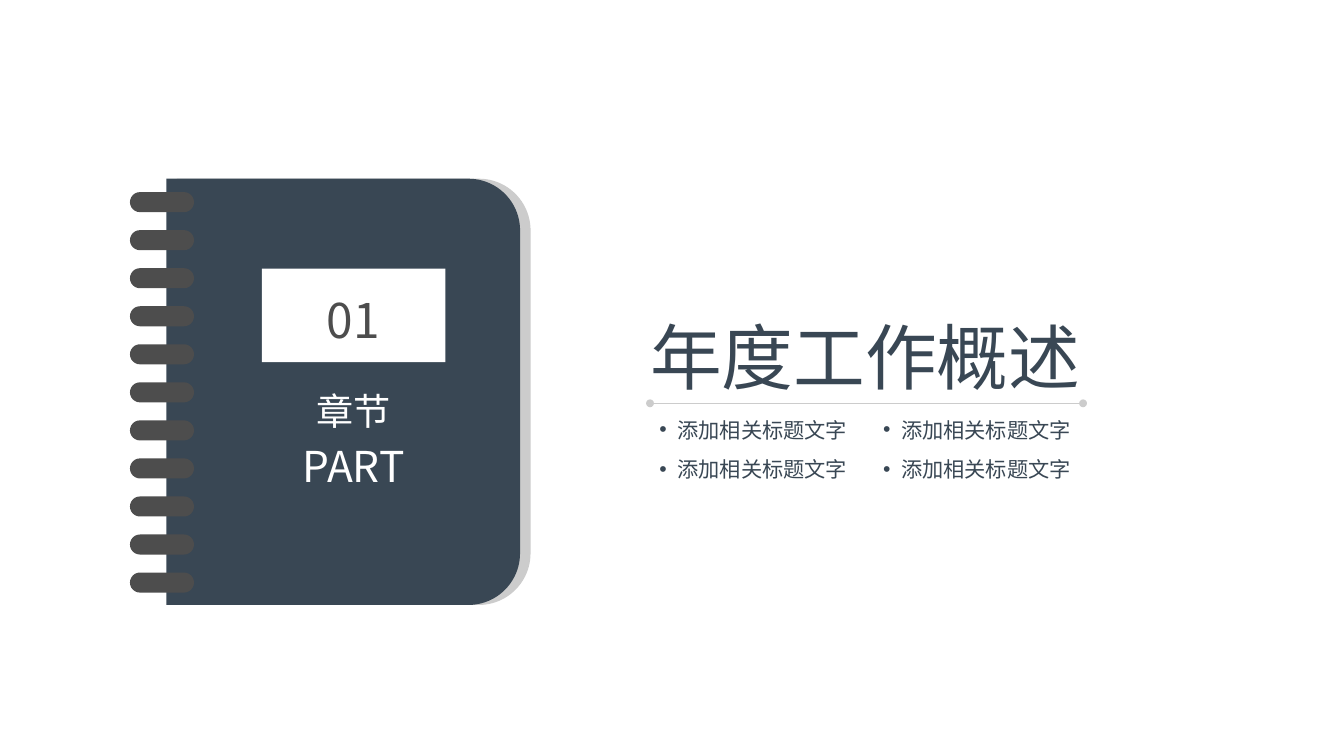
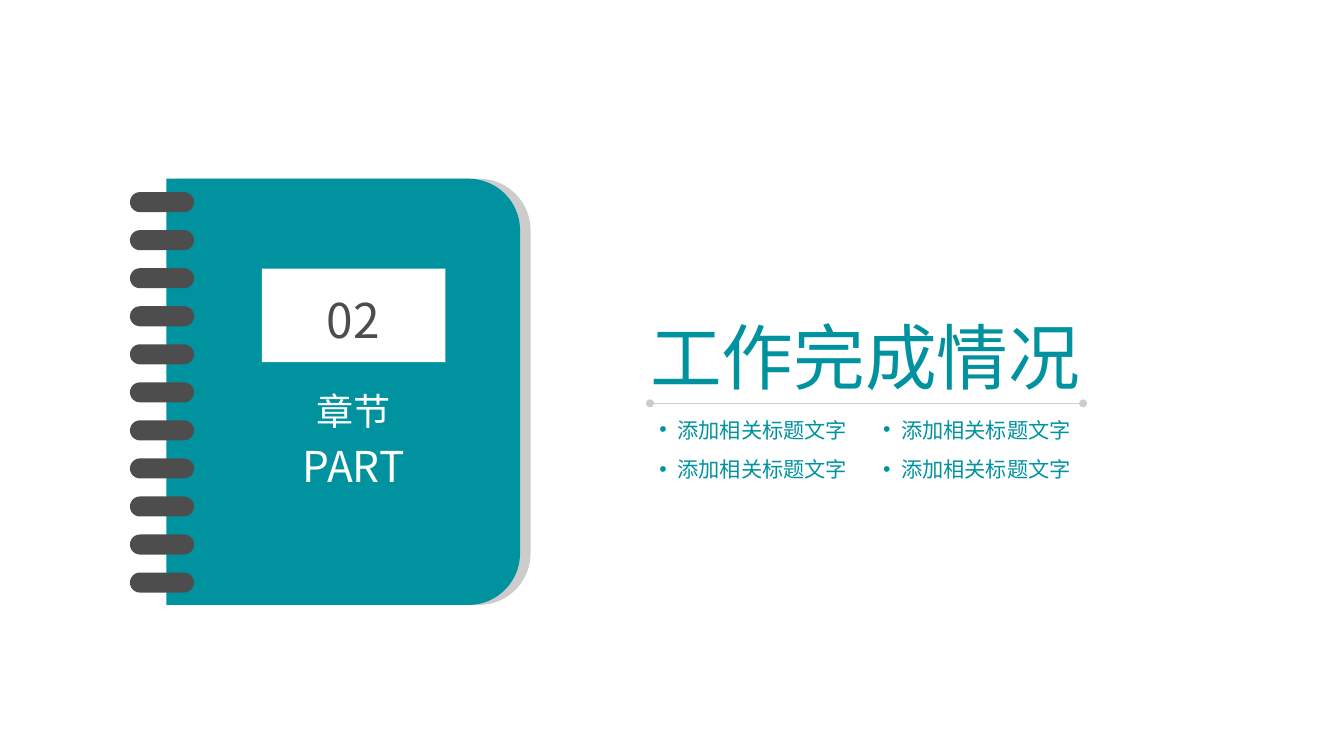
from dataclasses import dataclass

from lxml import etree
from pptx import Presentation
from pptx.dml.color import RGBColor
from pptx.enum.shapes import MSO_CONNECTOR, MSO_SHAPE
from pptx.enum.text import MSO_ANCHOR, MSO_AUTO_SIZE, PP_ALIGN
from pptx.oxml.ns import qn
from pptx.util import Pt

LINE = MSO_CONNECTOR.STRAIGHT
RECT = MSO_SHAPE.RECTANGLE
PILL = MSO_SHAPE.ROUNDED_RECTANGLE
COVER = MSO_SHAPE.ROUND_2_SAME_RECTANGLE
MIDDLE = MSO_ANCHOR.MIDDLE
GROW = MSO_AUTO_SIZE.SHAPE_TO_FIT_TEXT
LEFT, CENTER = PP_ALIGN.LEFT, PP_ALIGN.CENTER
SCALE = 9144
TITLE_ONLY = 5


@dataclass(frozen=True)
class Theme:
    font: str = "Noto Sans CJK SC"
    white: str = "FFFFFF"
    dark: str = "4D4D4D"
    pale: str = "CCCCCC"
    navy: str = "394754"
    teal: str = "00939F"
    title: int = 54
    number: int = 36
    latin: int = 32
    label: int = 28
    item: int = 16


THEME = Theme()
FLUSH = dict(margin_left=0, margin_right=0, margin_top=0, margin_bottom=0,
             word_wrap=True, vertical_anchor=MIDDLE, auto_size=GROW)
LOOSE = dict(word_wrap=False, vertical_anchor=MIDDLE, auto_size=GROW)

TOPICS = [
    ("01", "年度工作概述", THEME.navy),
    ("02", "工作完成情况", THEME.teal),
]
ITEMS = ["添加相关标题文字"] * 4


def px(*vals):
    return [round(val * SCALE) for val in vals]


def apply(item, fmt):
    for name, val in fmt.items():
        setattr(item, name, val)


def write(para, text, size, color, **fmt):
    apply(para, fmt)
    run = para.add_run()
    run.text = text
    apply(run.font, dict(size=Pt(size), name=THEME.font))
    run.font.color.rgb = RGBColor.from_string(color)
    face = etree.SubElement(run.font._element, qn("a:ea"))
    face.set("typeface", THEME.font)


def add_text(shapes, box, fmt):
    frame = shapes.add_textbox(*px(*box)).text_frame
    apply(frame, fmt)
    return frame


def add_block(shapes, kind, box, color):
    shape = shapes.add_shape(kind, *px(*box))
    shape.shadow.inherit = False
    shape.fill.solid()
    shape.fill.fore_color.rgb = RGBColor.from_string(color)
    shape.line.fill.background()
    return shape


def add_cover(shapes, box, color):
    left, top, width, height = box
    shift = (height - width) / 2
    turned = (left - shift, top + shift, height, width)
    cover = add_block(shapes, COVER, turned, color)
    cover.rotation = 90
    cover.adjustments[0] = 54 / width


def add_book(slide, box, number, color):
    left, top, width, height = box
    shapes = slide.shapes.add_group_shape().shapes
    for inset, fill in ((49, THEME.pale), (38, color)):
        add_cover(shapes, (left + inset, top, width - 49, height), fill)
    add_block(shapes, RECT, (left + 138, top + 94, 192, 98), THEME.white)

    count, inset, thick = 11, 14, 21
    pitch = (height - 2 * inset - thick + 1) / (count - 1)
    for row in range(count):
        ring = (left, top + inset + row * pitch, 67, thick)
        add_block(shapes, PILL, ring, THEME.dark).adjustments[0] = 0.5

    frame = add_text(shapes, (left + 143, top + 117, 181, 61), FLUSH)
    write(frame.paragraphs[0], number, THEME.number, THEME.dark,
          alignment=CENTER)
    frame = add_text(shapes, (left + 158, top + 217, 152, 112), FLUSH)
    write(frame.paragraphs[0], "章节", THEME.label, THEME.white,
          alignment=CENTER)
    write(frame.add_paragraph(), "PART", THEME.latin, THEME.white,
          alignment=CENTER, space_before=Pt(6))


def add_rule(slide, left, top, width):
    rule = slide.shapes.add_connector(
        LINE, *px(left, top, left + width, top))
    rule.line.width = Pt(1)
    rule.line.color.rgb = RGBColor.from_string(THEME.pale)
    props = rule._element.spPr
    for end in ("a:headEnd", "a:tailEnd"):
        etree.SubElement(props.find(qn("a:ln")), qn(end)).set("type", "oval")
    etree.SubElement(props, qn("a:effectLst"))


def add_item(slide, box, text, color):
    para = add_text(slide.shapes, box, LOOSE).paragraphs[0]
    props = para._p.get_or_add_pPr()
    indent = px(19)[0]
    props.set("marL", str(indent))
    props.set("indent", str(-indent))
    for tag, key, val in (("a:buFont", "typeface", "Arial"),
                          ("a:buChar", "char", "•")):
        etree.SubElement(props, qn(tag)).set(key, val)
    write(para, text, THEME.item, color, alignment=LEFT)


def add_topic(slide, box, title, color):
    left, top, width, _ = box
    add_rule(slide, left, top + 95, width)
    head = slide.shapes.title
    apply(head, dict(zip(("left", "top", "width", "height"),
                         px(left, top, 489, 91))))
    apply(head.text_frame, FLUSH)
    write(head.text_frame.paragraphs[0], title, THEME.title, color,
          alignment=LEFT)
    wide, high = 219, 37
    for spot, text in enumerate(ITEMS):
        row, col = divmod(spot, 2)
        place = (left + col * (width - wide), top + 104 + row * 41,
                 wide, high)
        add_item(slide, place, text, color)


def add_section(deck, number, title, color):
    slide = deck.slides.add_slide(deck.slide_layouts[TITLE_ONLY])
    add_topic(slide, (680, 327, 453, 182), title, color)
    add_book(slide, (136, 187, 419, 446), number, color)


def main():
    deck = Presentation()
    deck.slide_width, deck.slide_height = px(1406, 791)
    for topic in TOPICS:
        add_section(deck, *topic)
    deck.save("out.pptx")


if __name__ == "__main__":
    main()
